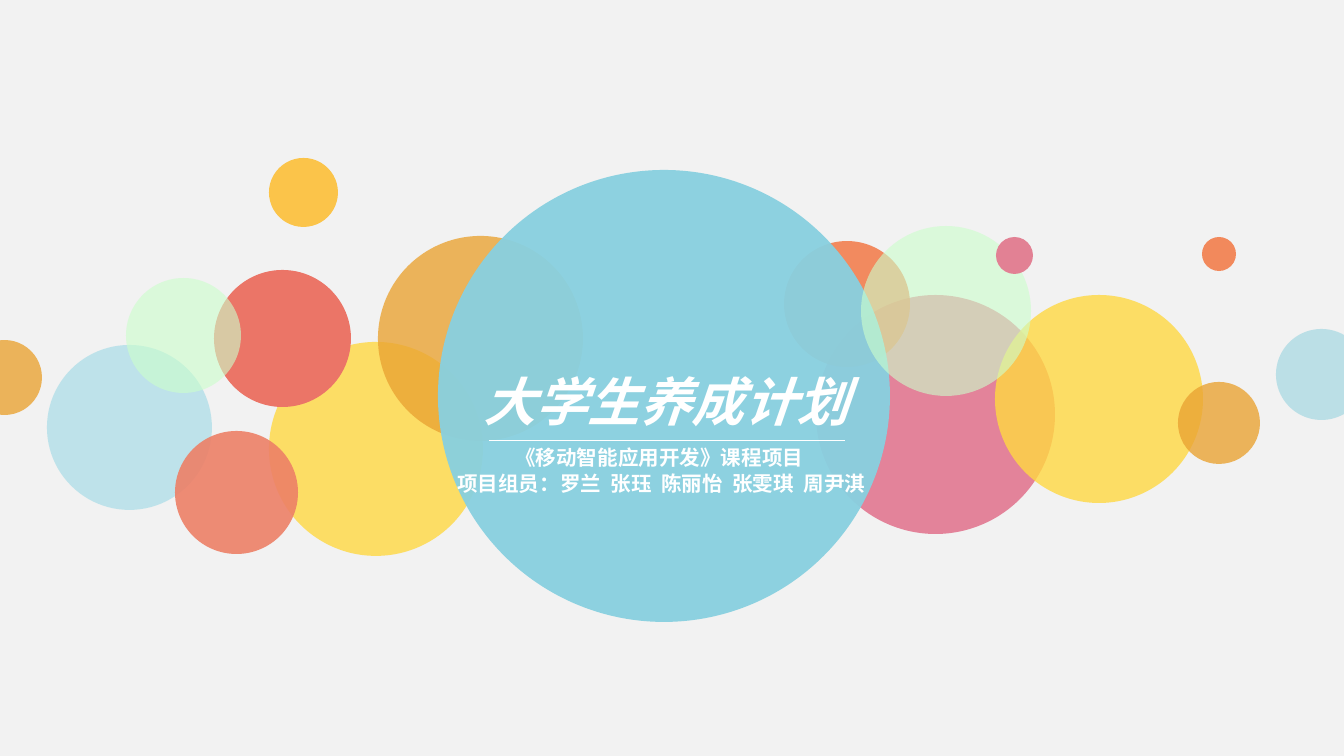
import pptx
import pptx.dml.color
import pptx.enum.dml
import pptx.enum.shapes
import pptx.enum.text
import pptx.oxml.ns
import pptx.util
from lxml import etree

PX = 914400 / 134.4  # EMU in one px

THEME = {
    "font": "Noto Sans CJK SC",
    "title": 28, "body": 11, "rule": 0.5, "name_gap": 2.5,
    "background": "F2F2F2", "white": "FFFFFF",
    "yellow": "FFD842", "amber": "FBC44A", "ochre": "EAA434",
    "orange": "F3703B", "apricot": "F2895C", "salmon": "ED8067", "coral": "EB7567",
    "rose": "DB3D63", "pink": "E28194", "mint": "CCFFCC",
    "blue": "88D0E0", "teal": "86CDDB", "pale_blue": "B2DFE8",
}

# left, top, diameter, colour, opacity in percent; back to front
CIRCLES = [
    (269, 342, 214, "yellow", 80),
    (1276, 329, 91, "teal", 50),
    (269, 158, 69, "amber", 100),
    (1202, 237, 34, "apricot", 100),
    (816, 295, 239, "rose", 61),
    (995, 295, 208, "yellow", 80),
    (214, 270, 137, "coral", 100),
    (784, 241, 126, "orange", 80),
    (378, 236, 205, "ochre", 80),
    (438, 170, 452, "blue", 95),
    (47, 345, 165, "pale_blue", 80),
    (861, 226, 170, "mint", 61),
    (996, 237, 37, "pink", 100),
    (175, 431, 123, "salmon", 90),
    (-33, 340, 75, "ochre", 80),
    (126, 278, 115, "mint", 61),
    (1178, 382, 82, "ochre", 80),
]
TITLE = "大学生养成计划"
COURSE = "《移动智能应用开发》课程项目"
MEMBERS_LABEL = "项目组员："
MEMBERS = ["罗兰", "张珏", "陈丽怡", "张雯琪", "周尹淇"]


def px(*values):
    return [pptx.util.Emu(round(value * PX)) for value in values]


def colour(name):
    return pptx.dml.color.RGBColor.from_string(THEME[name])


def child(parent, tag, **attributes):
    return etree.SubElement(parent, pptx.oxml.ns.qn(tag), attributes)


def add_circle(page, left, top, diameter, fill, opacity):
    circle = page.shapes.add_shape(
        pptx.enum.shapes.MSO_SHAPE.OVAL, *px(left, top, diameter, diameter))
    circle.shadow.inherit = False
    circle.line.fill.background()
    circle.fill.solid()
    circle.fill.fore_color.rgb = colour(fill)
    if opacity < 100:
        solid = circle.fill._xPr.find(pptx.oxml.ns.qn("a:solidFill"))
        child(solid[0], "a:alpha", val=str(opacity * 1000))


def add_rule(page, left, right, y):
    rule = page.shapes.add_connector(
        pptx.enum.shapes.MSO_CONNECTOR.STRAIGHT, *px(left, y, right, y))
    rule.line.color.rgb = colour("white")
    rule.line.width = pptx.util.Pt(THEME["rule"])
    child(rule._element.spPr, "a:effectLst")


def add_text(page, pieces, frame, size="body", italic=False):
    """Put pieces on one line; a single space among them is widened by name_gap."""
    box = page.shapes.add_textbox(*px(*frame))
    box.text_frame.word_wrap = False
    box.text_frame.auto_size = pptx.enum.text.MSO_AUTO_SIZE.SHAPE_TO_FIT_TEXT
    para = box.text_frame.paragraphs[0]
    for piece in pieces:
        span = para.add_run()
        span.text = piece
        span.font.size = pptx.util.Pt(THEME[size])
        span.font.bold = True
        span.font.italic = italic
        span.font.color.rgb = colour("white")
        span.font.name = THEME["font"]
        properties = span._r.get_or_add_rPr()
        child(properties, "a:ea", typeface=THEME["font"])
        if piece == " ":
            properties.set("spc", str(round(THEME["name_gap"] * 100)))


def main():
    deck = pptx.Presentation()
    deck.slide_width, deck.slide_height = px(1344, 756)
    page = deck.slides.add_slide(deck.slide_layouts[6])
    page.background.fill.solid()
    page.background.fill.fore_color.rgb = colour("background")

    for circle in CIRCLES:
        add_circle(page, *circle)
    add_text(page, [TITLE], (470, 363, 396, 77), size="title", italic=True)
    add_rule(page, 489, 845, 441)
    add_text(page, [COURSE], (502, 438, 320, 39))
    members = [MEMBERS_LABEL, MEMBERS[0]]
    for name in MEMBERS[1:]:
        members += [" ", name]
    add_text(page, members, (444, 464, 440, 39))
    deck.save("out.pptx")


if __name__ == "__main__":
    main()
